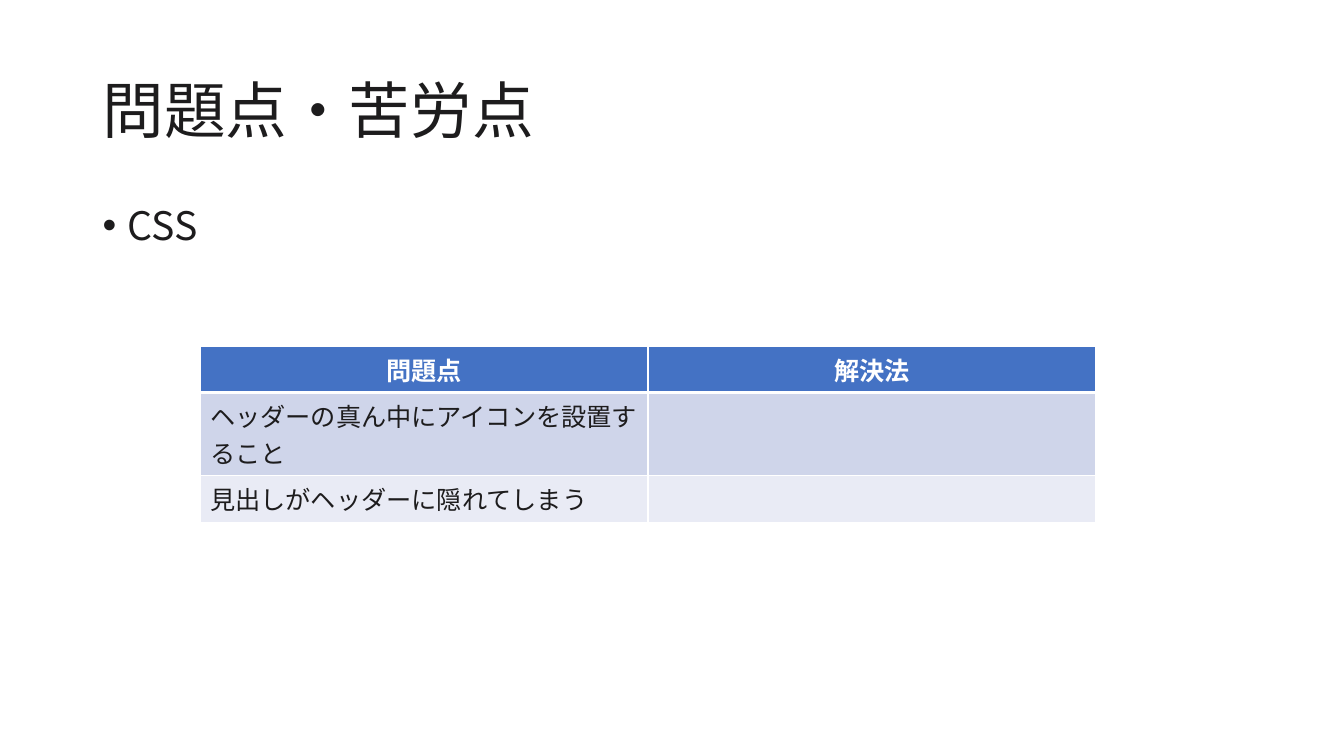
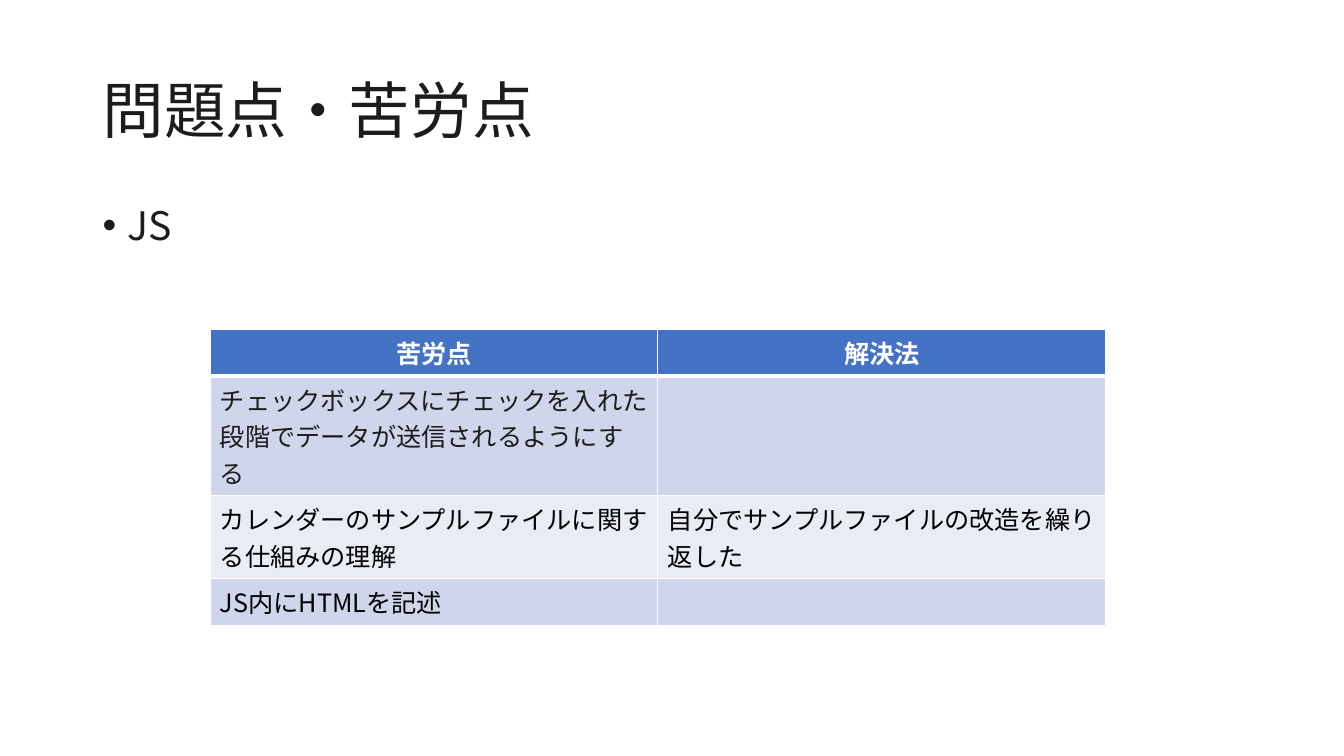
from dataclasses import dataclass

from lxml import etree
from pptx import Presentation
from pptx.dml.color import RGBColor
from pptx.enum import lang, text
from pptx.oxml.ns import qn
from pptx.util import Cm, Pt

INK = RGBColor(0x1D, 0x1C, 0x1D)
BLACK = RGBColor(0x00, 0x00, 0x00)
WHITE = RGBColor(0xFF, 0xFF, 0xFF)
HEADER_BLUE = RGBColor(0x44, 0x72, 0xC4)
BANDS = (RGBColor(0xCF, 0xD5, 0xEA), RGBColor(0xE9, 0xEB, 0xF5))

TITLE = "問題点・苦労点"
TITLE_FONT = "Arial"
BODY_FONT = "Noto Sans CJK JP"
MARGIN, CONTENT_WIDTH = Cm(2.33), Cm(29.21)
COLUMN_WIDTH, ROW_HEIGHT = Cm(11.29), Cm(1.03)
THIN, THICK = Pt(1), Pt(3)


@dataclass(frozen=True)
class Row:
    problem: str
    solution: str = ""
    color: RGBColor = INK


@dataclass(frozen=True)
class Topic:
    name: str
    left: Cm
    top: Cm
    header: Row
    rows: tuple[Row, ...]


TOPICS = (
    Topic("CSS", Cm(5.04), Cm(8.72), Row("問題点", "解決法", WHITE), (
        Row("ヘッダーの真ん中にアイコンを設置すること"),
        Row("見出しがヘッダーに隠れてしまう"),
    )),
    Topic("JS", Cm(5.29), Cm(8.3), Row("苦労点", "解決法", WHITE), (
        Row("チェックボックスにチェックを入れた段階でデータが送信されるようにする"),
        Row("カレンダーのサンプルファイルに関する仕組みの理解",
            "自分でサンプルファイルの改造を繰り返した", BLACK),
        Row("JS内にHTMLを記述", color=BLACK),
    )),
)


def set_font(para, name: str, size: int, color: RGBColor, bold: bool = False) -> None:
    """Format a paragraph, using one typeface for Latin and Japanese text."""
    font = para.font
    font.name, font.size, font.bold = name, Pt(size), bold
    font.color.rgb = color
    font.language_id = lang.MSO_LANGUAGE_ID.JAPANESE
    properties = para._p.pPr.find(qn("a:defRPr"))
    etree.SubElement(properties, qn("a:ea"), typeface=name)


def place(box, top: Cm, height: Cm) -> None:
    box.left, box.top, box.width, box.height = MARGIN, top, CONTENT_WIDTH, height


def add_title(page) -> None:
    box = page.shapes.title
    place(box, Cm(1.01), Cm(3.68))
    box.text_frame.text = TITLE
    box.text_frame.vertical_anchor = text.MSO_ANCHOR.MIDDLE
    para = box.text_frame.paragraphs[0]
    para.alignment = text.PP_ALIGN.LEFT
    para.line_spacing = 0.9
    set_font(para, TITLE_FONT, 44, INK)


def add_bullet(page, name: str) -> None:
    box = page.placeholders[1]
    place(box, Cm(5.07), Cm(12.09))
    box.text_frame.text = name
    para = box.text_frame.paragraphs[0]
    para.line_spacing = 0.9
    para.space_before = Pt(10)
    properties = para._p.get_or_add_pPr()
    indent = Cm(0.64)
    properties.set("marL", str(indent))
    properties.set("indent", str(-indent))
    set_font(para, BODY_FONT, 28, INK)


def set_borders(cell, top: Pt, bottom: Pt) -> None:
    properties = cell._tc.get_or_add_tcPr()
    sides = (("lnL", THIN), ("lnR", THIN), ("lnT", top), ("lnB", bottom))
    for position, (side, width) in enumerate(sides):
        line = etree.Element(qn(f"a:{side}"), w=str(width))
        fill = etree.SubElement(line, qn("a:solidFill"))
        etree.SubElement(fill, qn("a:srgbClr"), val=str(WHITE))
        properties.insert(position, line)


def add_topic_table(page, topic: Topic) -> None:
    rows = (topic.header, *topic.rows)
    frame = page.shapes.add_table(len(rows), 2, topic.left, topic.top,
                                  2 * COLUMN_WIDTH, len(rows) * ROW_HEIGHT)
    table = frame.table
    for index, row in enumerate(rows):
        is_header = index == 0
        table.rows[index].height = ROW_HEIGHT
        for column, content in enumerate((row.problem, row.solution)):
            cell = table.cell(index, column)
            cell.fill.solid()
            cell.fill.fore_color.rgb = HEADER_BLUE if is_header else BANDS[(index - 1) % 2]
            set_borders(cell, THICK if index == 1 else THIN, THICK if is_header else THIN)
            cell.text = content
            para = cell.text_frame.paragraphs[0]
            para.alignment = text.PP_ALIGN.CENTER if is_header else text.PP_ALIGN.LEFT
            set_font(para, BODY_FONT, 18, row.color, is_header)


def main() -> None:
    deck = Presentation()
    deck.slide_width, deck.slide_height = Cm(33.87), Cm(19.05)
    for topic in TOPICS:
        page = deck.slides.add_slide(deck.slide_layouts[1])
        add_title(page)
        add_bullet(page, topic.name)
        add_topic_table(page, topic)
    deck.save("out.pptx")


if __name__ == "__main__":
    main()
